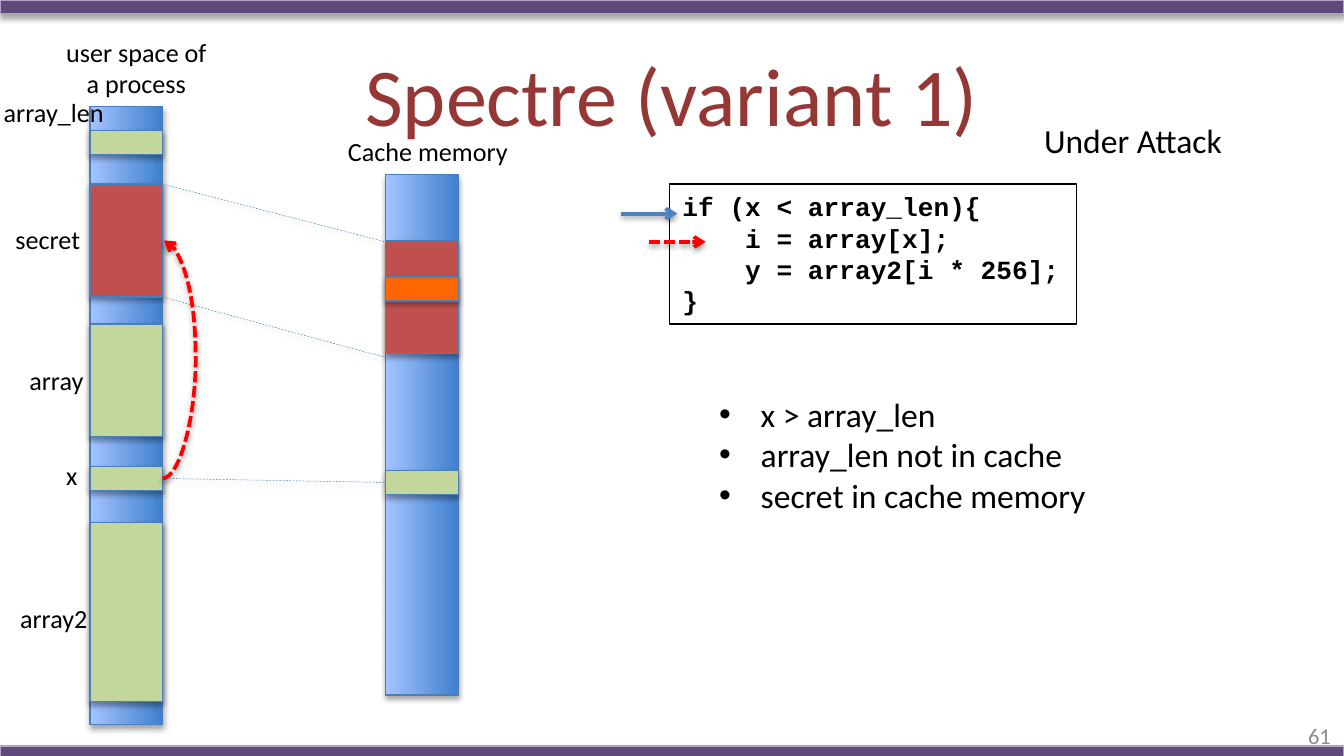
from lxml import etree
from pptx import Presentation
from pptx.dml.color import RGBColor
from pptx.enum.dml import MSO_LINE
from pptx.enum.shapes import MSO_CONNECTOR, MSO_SHAPE
from pptx.enum.text import MSO_ANCHOR, MSO_AUTO_SIZE, PP_ALIGN
from pptx.oxml.ns import qn
from pptx.util import Inches, Pt

RECT = MSO_SHAPE.RECTANGLE
STRAIGHT, CURVE = MSO_CONNECTOR.STRAIGHT, MSO_CONNECTOR.CURVE
DASH, SHORT_DASH = MSO_LINE.DASH, MSO_LINE.SQUARE_DOT
LEFT, CENTER, RIGHT = PP_ALIGN.LEFT, PP_ALIGN.CENTER, PP_ALIGN.RIGHT
MIDDLE = MSO_ANCHOR.MIDDLE
FIT_TEXT, FIXED_SIZE = MSO_AUTO_SIZE.SHAPE_TO_FIT_TEXT, MSO_AUTO_SIZE.NONE
LEFT_SIDE, RIGHT_SIDE = 1, 3

SLIDE_W = 10
SLIDE_H = SLIDE_W * 9 / 16
BLACK, GREY, PURPLE, LILAC = "000000", "8C8C8C", "604A7B", "B3A2C7"
GREEN, BRICK, ORANGE, MAROON = "C3D69B", "C0504D", "FF6600", "953735"
BLUE, EDGE, RED = "4F81BD", "4B7EBC", "FF0000"
BAR_DARK, BAR_LIGHT = "3F80CE", "A4C4FF"

TITLE = "Spectre (variant 1)"
CODE = ["if (x < array_len){", "    i = array[x];", "    y = array2[i * 256];", "}"]
CONDITIONS = ["x > array_len", "array_len not in cache", "secret in cache memory"]

# Memory columns: left, top, height, and blocks as name: (top, height, colour)
COLUMN_W = 0.54
COLUMNS = {
    "process": (0.67, 0.79, 4.6, {
        "array_len": (0.97, 0.18, GREEN),
        "secret": (1.37, 0.84, BRICK),
        "array": (2.41, 0.84, GREEN),
        "x": (3.47, 0.18, GREEN),
        "array2": (3.89, 1.33, GREEN),
    }),
    "cache": (2.87, 1.3, 3.87, {
        "secret": (1.79, 0.84, BRICK),
        "secret byte": (2.06, 0.18, ORANGE),
        "x": (3.5, 0.18, GREEN),
    }),
}

# Text, box, size, alignment
LABELS = [
    ("user space of\na process", (0.39, 0.22, 1.25, 0.57), 14, CENTER),
    ("array_len", (-0.09, 0.67, 0.98, 0.34), 14, CENTER),
    ("secret", (0.01, 1.61, 0.69, 0.34), 14, CENTER),
    ("array", (0.11, 2.66, 0.62, 0.34), 14, CENTER),
    ("x", (0.39, 3.37, 0.29, 0.34), 14, CENTER),
    ("array2", (0.04, 4.43, 0.72, 0.34), 14, CENTER),
    ("Cache memory", (2.49, 0.96, 1.4, 0.34), 14, LEFT),
    ("Under Attack", (7.67, 0.84, 1.56, 0.4), 18, LEFT),
]


def rgb(color):
    return RGBColor.from_string(color)


def place(shape, box):
    shape.left, shape.top, shape.width, shape.height = map(Inches, box)


def add_shadow(shape, blur, distance, opacity):
    """Give a shape or connector a soft black shadow straight below it."""
    effects = etree.SubElement(shape._element.spPr, qn("a:effectLst"))
    outer = etree.SubElement(effects, qn("a:outerShdw"), blurRad=str(Pt(blur)),
                             dist=str(Pt(distance)), dir="5400000", rotWithShape="0")
    black = etree.SubElement(outer, qn("a:srgbClr"), val=BLACK)
    etree.SubElement(black, qn("a:alpha"), val=str(opacity * 1000))


def add_rect(box, fill, edge):
    """Add a shadowed rectangle; a pair of fill colours makes a gradient."""
    rect = slide.shapes.add_shape(RECT, *map(Inches, box))
    if isinstance(fill, tuple):
        rect.fill.gradient()
        rect.fill.gradient_angle = 90
        for stop, color in zip(rect.fill.gradient_stops, fill):
            stop.color.rgb = rgb(color)
    else:
        rect.fill.solid()
        rect.fill.fore_color.rgb = rgb(fill)
    rect.line.color.rgb = rgb(edge)
    rect.line.width = Pt(0.75)
    add_shadow(rect, 3.1, 1.8, 35)
    return rect


def add_column(left, top, height):
    """Add a memory bar: a wide gradient rectangle turned upright."""
    box = (left + (COLUMN_W - height) / 2, top + (height - COLUMN_W) / 2, height, COLUMN_W)
    add_rect(box, (BAR_DARK, BAR_LIGHT), EDGE).rotation = 270


def write(frame, lines, size, color=BLACK, font="Calibri", align=LEFT, bold=False):
    for i, line in enumerate(lines):
        paragraph = frame.add_paragraph() if i else frame.paragraphs[0]
        paragraph.text = line
        paragraph.alignment = align
        paragraph.font.name = font
        paragraph.font.size = Pt(size)
        paragraph.font.bold = bold
        paragraph.font.color.rgb = rgb(color)


def add_text(box, lines, size, **style):
    textbox = slide.shapes.add_textbox(*map(Inches, box))
    textbox.text_frame.word_wrap = False
    textbox.text_frame.auto_size = FIT_TEXT
    write(textbox.text_frame, lines, size, **style)
    return textbox


def add_line(start, end, color, width, dash=None, arrow=False, kind=STRAIGHT):
    line = slide.shapes.add_connector(kind, *map(Inches, start + end))
    line.line.color.rgb = rgb(color)
    line.line.width = Pt(width)
    if dash:
        line.line.dash_style = dash
    if arrow:
        etree.SubElement(line.line._get_or_add_ln(), qn("a:tailEnd"), type="arrow")
    add_shadow(line, 3.1, 1.6, 38)
    return line


prs = Presentation()
prs.slide_width, prs.slide_height = Inches(SLIDE_W), Inches(SLIDE_H)
slide = prs.slides.add_slide(prs.slide_layouts[1])
title, conditions = slide.placeholders

for band_top in (0, 5.55):
    add_rect((0, band_top, SLIDE_W, 0.1), PURPLE, LILAC)

place(title, (0.5, 0.23, 9, 0.94))
write(title.text_frame, [TITLE], 44, MAROON, align=CENTER)

place(conditions, (5.25, 2.88, 3.14, 1.01))
write(conditions.text_frame, CONDITIONS, 18)
conditions.text_frame.auto_size = FIT_TEXT
for condition in conditions.text_frame.paragraphs:
    condition.space_before = Pt(0)
    properties = condition._p.get_or_add_pPr()
    properties.set("marL", str(Inches(0.31)))
    properties.set("indent", str(Inches(-0.31)))

code = add_text((4.98, 1.37, 3.03, 1.04), CODE, 14, font="Courier New", bold=True)
code.line.color.rgb = rgb(BLACK)
code.line.width = Pt(0.75)

blocks = {}
for column, (left, top, height, parts) in COLUMNS.items():
    add_column(left, top, height)
    for name, (block_top, block_height, color) in parts.items():
        box = (left, block_top, COLUMN_W, block_height)
        blocks[column, name] = add_rect(box, color, EDGE)

for text, box, size, align in LABELS:
    add_text(box, [text], size, align=align)

# Cached copies of the secret and of x
process_right = COLUMNS["process"][0] + COLUMN_W
cache_left = COLUMNS["cache"][0]
for start_y, end_y in ((1.37, 1.8), (2.21, 2.66)):
    add_line((process_right, start_y), (cache_left, end_y), BLUE, 0.25, DASH)
x_link = add_line((process_right, 3.56), (cache_left, 3.59), BLUE, 0.25, DASH)
x_link.begin_connect(blocks["process", "x"], RIGHT_SIDE)
x_link.end_connect(blocks["cache", "x"], LEFT_SIDE)

# Execution steps, then the out-of-bounds reach from x to the secret
add_line((4.62, 1.59), (5.04, 1.59), BLUE, 2, arrow=True)
add_line((4.83, 1.8), (5.25, 1.8), RED, 2, SHORT_DASH, arrow=True)
reach = add_line((process_right, 3.56), (process_right + 0.01, 1.79), RED, 2,
                 SHORT_DASH, arrow=True, kind=CURVE)
bulge = reach._element.spPr.find(qn("a:prstGeom")).get_or_add_avLst()
etree.SubElement(bulge, qn("a:gd"), name="adj1", fmla="val 2500000")

page_number = add_text((7.67, 5.32, 2.33, 0.3), ["61"], 12, color=GREY, align=RIGHT)
page_number.text_frame.word_wrap = True
page_number.text_frame.auto_size = FIXED_SIZE
page_number.text_frame.vertical_anchor = MIDDLE

prs.save("out.pptx")
